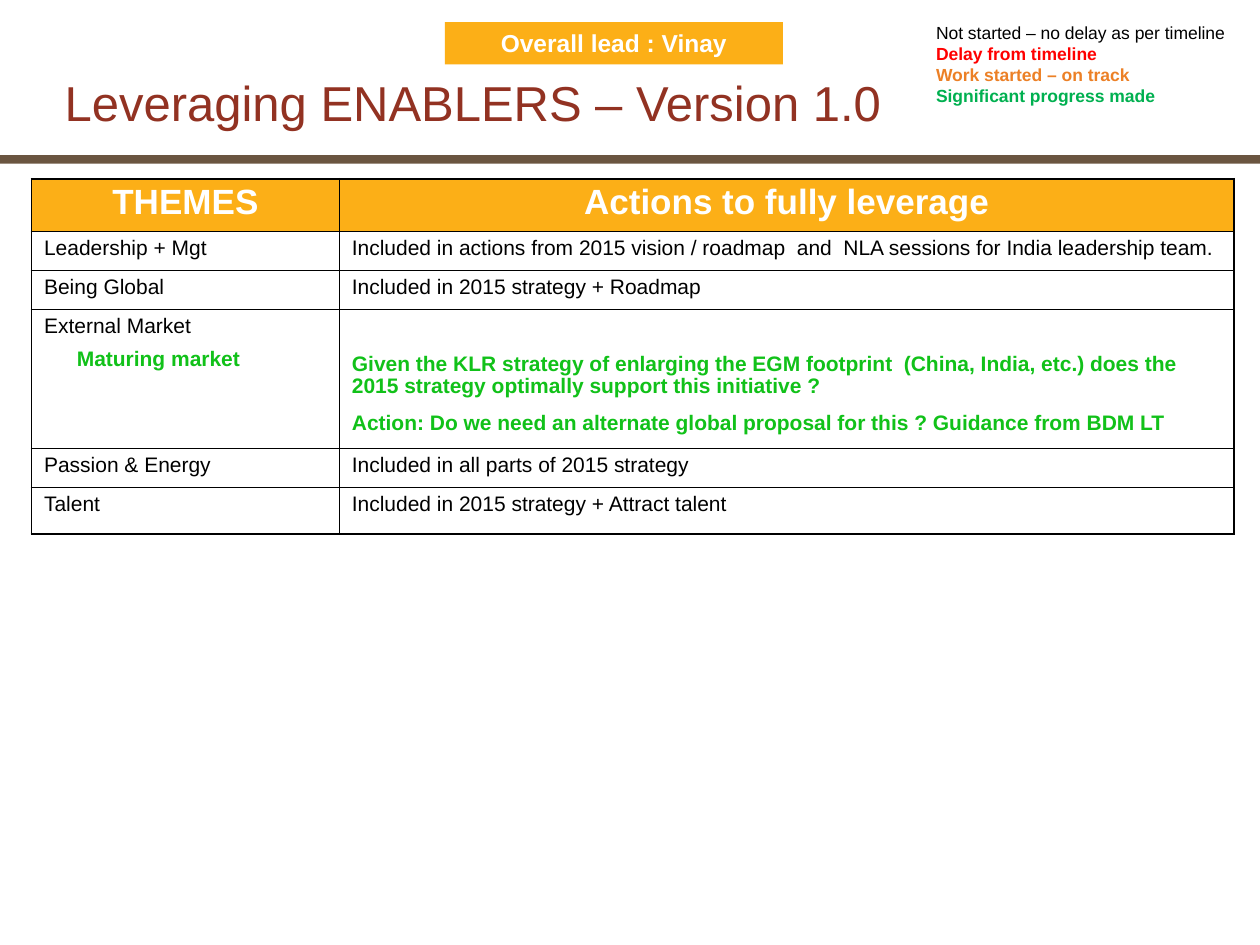
from pptx import Presentation
from pptx.dml.color import RGBColor
from pptx.enum.shapes import MSO_SHAPE as Shape
from pptx.enum.text import MSO_ANCHOR as Anchor, PP_ALIGN as Align
from pptx.oxml.ns import qn
from pptx.util import Pt
from lxml.etree import SubElement

COLORS = {
    "black": "000000", "white": "FFFFFF", "title": "923222", "bar": "6A5540",
    "amber": "FCAF17", "delay": "FF0000", "on_track": "EC8026",
    "progress": "00B050", "remark": "11C119",
}
THIN, THICK = 0.45, 1.08
TIGHT = 0.95  # line spacing of the title and the table
INSETS = {"margin_left": Pt(7.2), "margin_right": Pt(7.2),
          "margin_top": Pt(3.6), "margin_bottom": Pt(3.6)}

# Each cell is a list of (text, format) paragraphs
REMARK = {"color": "remark", "bold": True}
HEADERS = ["THEMES", "Actions to fully leverage"]
THEMES = [
    ([("Leadership + Mgt", {})],
     [("Included in actions from 2015 vision / roadmap  and  NLA sessions for India leadership team.", {})]),
    ([("Being Global", {})],
     [("Included in 2015 strategy + Roadmap", {})]),
    ([("External Market", {}),
      ("Maturing market", {**REMARK, "before": 6, "indent": 18.7})],
     [("Given the KLR strategy of enlarging the EGM footprint  (China, India, etc.) "
       "does the 2015 strategy optimally support this initiative ?", REMARK),
      ("Action: Do we need an alternate global proposal for this ? Guidance from BDM LT",
       {**REMARK, "before": 8.2})]),
    ([("Passion & Energy", {})],
     [("Included in all parts of 2015 strategy", {})]),
    ([("Talent", {})],
     [("Included in 2015 strategy + Attract talent", {})]),
]
ROW_HEIGHTS = [30.2, 22.2, 22.2, 79.4, 22.1, 26.9]
COLUMN_WIDTHS = [175.9, 511.4]
REMARK_ROW, REMARK_TOP = 3, 25.3

STATUSES = [
    ("Not started – no delay as per timeline", {"color": "black"}),
    ("Delay from timeline", {"color": "delay", "bold": True}),
    ("Work started – on track", {"color": "on_track", "bold": True}),
    ("Significant progress made", {"color": "progress", "bold": True}),
]


def rgb(name):
    return RGBColor.from_string(COLORS[name])


def set_values(target, values):
    for name, value in values.items():
        setattr(target, name, value)


def write(frame, lines, size, align=Align.LEFT, spacing=1.0):
    for index, (text, style) in enumerate(lines):
        paragraph = frame.paragraphs[0] if index == 0 else frame.add_paragraph()
        paragraph.text = text
        set_values(paragraph, {"alignment": align, "line_spacing": spacing,
                               "space_before": Pt(style.get("before", 0))})
        if "indent" in style:
            paragraph._p.get_or_add_pPr().set("marL", str(Pt(style["indent"])))
        set_values(paragraph.font, {"name": "Arial", "size": Pt(size),
                                    "bold": style.get("bold", False)})
        paragraph.font.color.rgb = rgb(style.get("color", "black"))


def add_block(slide, box, color):
    block = slide.shapes.add_shape(Shape.RECTANGLE, *map(Pt, box))
    block.shadow.inherit = False
    block.fill.solid()
    block.fill.fore_color.rgb = rgb(color)
    block.line.fill.background()
    return block


def set_title(slide, box):
    title = slide.shapes.title
    set_values(title, dict(zip(("left", "top", "width", "height"), map(Pt, box))))
    frame = title.text_frame
    set_values(frame, {**INSETS, "word_wrap": True, "vertical_anchor": Anchor.BOTTOM})
    write(frame, [("Leveraging ENABLERS – Version 1.0", {"color": "title"})], 28,
          spacing=TIGHT)


def add_lead(slide, box):
    frame = add_block(slide, box, "amber").text_frame
    set_values(frame, {**INSETS, "word_wrap": True, "vertical_anchor": Anchor.TOP})
    write(frame, [("Overall lead : Vinay", {"color": "white", "bold": True})], 14,
          Align.CENTER)


def add_status_legend(slide, box):
    frame = slide.shapes.add_textbox(*map(Pt, box)).text_frame
    set_values(frame, {**INSETS, "word_wrap": True})
    write(frame, STATUSES, 10)


def set_borders(cell, widths):
    properties = cell._tc.get_or_add_tcPr()
    for side, width in widths.items():
        line = SubElement(properties, qn(f"a:{side}"), w=str(Pt(width)))
        fill = SubElement(line, qn("a:solidFill"))
        SubElement(fill, qn("a:srgbClr"), val=COLORS["black"])


def add_themes_table(slide, box):
    rows, columns = len(ROW_HEIGHTS), len(COLUMN_WIDTHS)
    table = slide.shapes.add_table(rows, columns, *map(Pt, box)).table
    set_values(table, {"first_row": False, "horz_banding": False})
    for row, height in zip(table.rows, ROW_HEIGHTS):
        row.height = Pt(height)
    for column, width in zip(table.columns, COLUMN_WIDTHS):
        column.width = Pt(width)

    header = [[(text, {"color": "white", "bold": True})] for text in HEADERS]
    for r, contents in enumerate([header, *THEMES]):
        for c, lines in enumerate(contents):
            cell = table.cell(r, c)
            set_values(cell, {**INSETS, "vertical_anchor": Anchor.TOP})
            # Outer edges are thicker than inner ones
            set_borders(cell, {"lnL": THICK if c == 0 else THIN,
                               "lnR": THICK if c == columns - 1 else THIN,
                               "lnT": THICK if r == 0 else THIN,
                               "lnB": THICK if r == rows - 1 else THIN})
            if r == 0:
                cell.fill.solid()
                cell.fill.fore_color.rgb = rgb("amber")
                write(cell.text_frame, lines, 20, Align.CENTER, TIGHT)
            else:
                cell.fill.background()
                write(cell.text_frame, lines, 12, spacing=TIGHT)
    # The remark starts level with the sub-theme beside it
    table.cell(REMARK_ROW, 1).margin_top = Pt(REMARK_TOP)


def main():
    deck = Presentation()
    set_values(deck, {"slide_width": Pt(720), "slide_height": Pt(540)})
    slide = deck.slides.add_slide(deck.slide_layouts.get_by_name("Title Only"))

    # Heading area
    add_block(slide, (0, 88.6, 720, 5), "bar")
    set_title(slide, (29.8, 40.3, 648, 38.9))

    # Themes and actions
    add_themes_table(slide, (18, 102.2, sum(COLUMN_WIDTHS), sum(ROW_HEIGHTS)))

    # Lead and status key
    add_lead(slide, (254.2, 12.7, 193.2, 24.2))
    add_status_legend(slide, (527.8, 8.9, 187.2, 55.4))
    deck.save("out.pptx")


if __name__ == "__main__":
    main()
